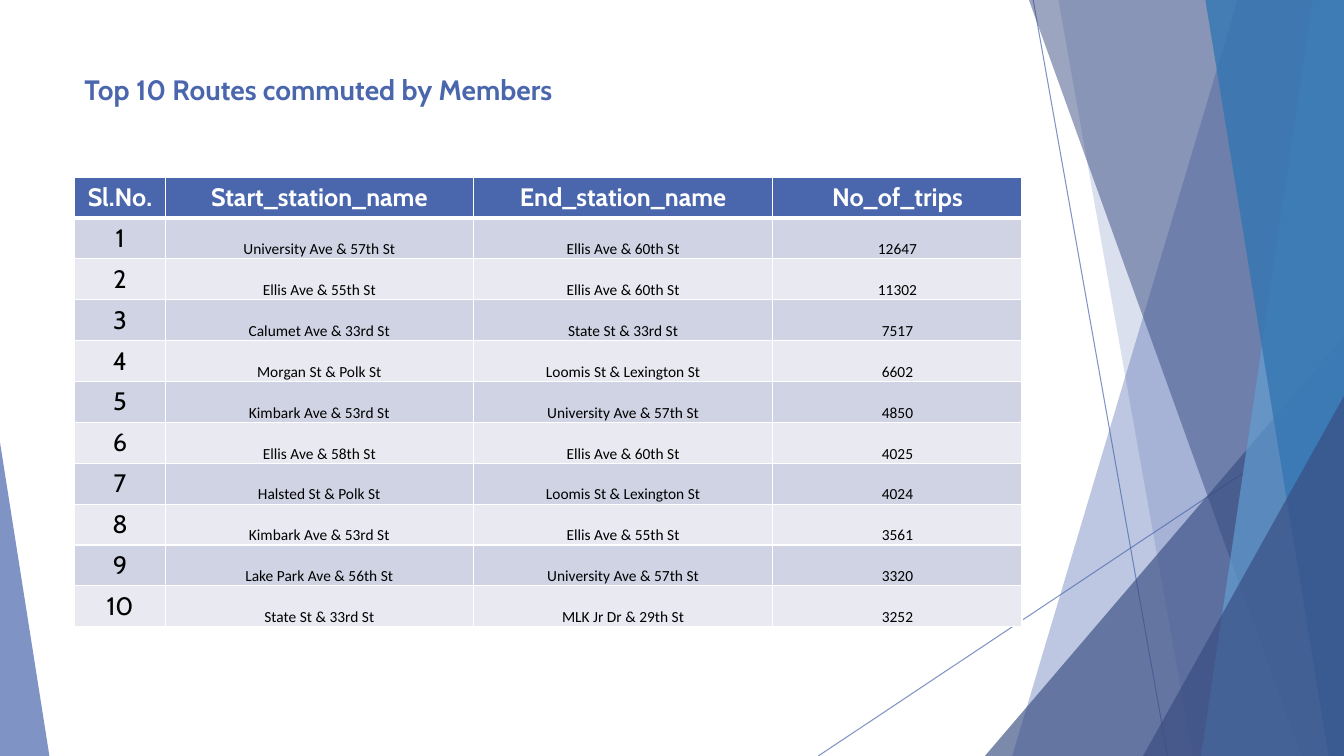
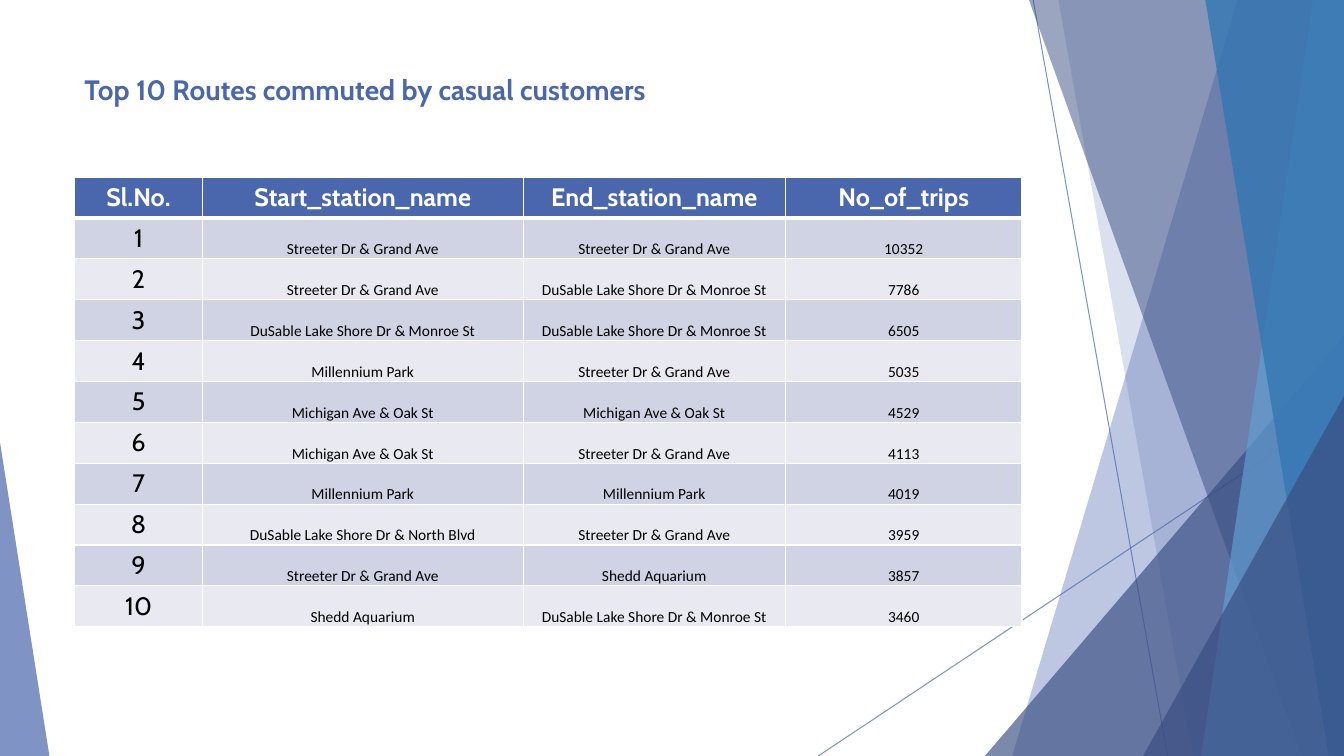
from lxml.etree import SubElement
from pptx import Presentation
from pptx.dml.color import RGBColor
from pptx.enum.shapes import MSO_CONNECTOR as Connector, MSO_SHAPE as Shape
from pptx.enum.text import MSO_ANCHOR as Anchor, PP_ALIGN as Align
from pptx.oxml.ns import qn
from pptx.util import Pt

WIDTH, HEIGHT = 960, 540
LEFT, CONTENT_WIDTH = 53.3, 676.8
TABLE_TOP, ROW_HEIGHT = 126.5, 29.2

BLUE = RGBColor(0x4A, 0x66, 0xAC)
NAVY = RGBColor(0x38, 0x4C, 0x81)
SKY = RGBColor(0x62, 0x9D, 0xD1)
OCEAN = RGBColor(0x34, 0x77, 0xB2)
DARK_ROW = RGBColor(0xD0, 0xD3, 0xE3)
LIGHT_ROW = RGBColor(0xE9, 0xEA, 0xF1)
WHITE = RGBColor(0xFF, 0xFF, 0xFF)
BLACK = RGBColor(0, 0, 0)

HEADERS = ("Sl.No.", "Start_station_name", "End_station_name", "No_of_trips")

MEMBER_ROUTES = [
    ("University Ave & 57th St", "Ellis Ave & 60th St", 12647),
    ("Ellis Ave & 55th St", "Ellis Ave & 60th St", 11302),
    ("Calumet Ave & 33rd St", "State St & 33rd St", 7517),
    ("Morgan St & Polk St", "Loomis St & Lexington St", 6602),
    ("Kimbark Ave & 53rd St", "University Ave & 57th St", 4850),
    ("Ellis Ave & 58th St", "Ellis Ave & 60th St", 4025),
    ("Halsted St & Polk St", "Loomis St & Lexington St", 4024),
    ("Kimbark Ave & 53rd St", "Ellis Ave & 55th St", 3561),
    ("Lake Park Ave & 56th St", "University Ave & 57th St", 3320),
    ("State St & 33rd St", "MLK Jr Dr & 29th St", 3252),
]

CASUAL_ROUTES = [
    ("Streeter Dr & Grand Ave", "Streeter Dr & Grand Ave", 10352),
    ("Streeter Dr & Grand Ave", "DuSable Lake Shore Dr & Monroe St", 7786),
    ("DuSable Lake Shore Dr & Monroe St", "DuSable Lake Shore Dr & Monroe St", 6505),
    ("Millennium Park", "Streeter Dr & Grand Ave", 5035),
    ("Michigan Ave & Oak St", "Michigan Ave & Oak St", 4529),
    ("Michigan Ave & Oak St", "Streeter Dr & Grand Ave", 4113),
    ("Millennium Park", "Millennium Park", 4019),
    ("DuSable Lake Shore Dr & North Blvd", "Streeter Dr & Grand Ave", 3959),
    ("Streeter Dr & Grand Ave", "Shedd Aquarium", 3857),
    ("Shedd Aquarium", "DuSable Lake Shore Dr & Monroe St", 3460),
]


def set_opacity(shape, percent):
    for color in shape.element.spPr.iter(qn("a:srgbClr")):
        SubElement(color, qn("a:alpha"), val=str(percent * 1000))


def set_borders(cell, top, bottom):
    """Give the cell white borders, 1 pt at the sides."""
    properties = cell._tc.get_or_add_tcPr()
    for side, width in (("L", 1), ("R", 1), ("T", top), ("B", bottom)):
        line = SubElement(properties, qn(f"a:ln{side}"), w=str(Pt(width)))
        fill = SubElement(line, qn("a:solidFill"))
        SubElement(fill, qn("a:srgbClr"), val=str(WHITE))


def format_text(para, font_name, size, color, bold=False):
    for span in para.runs:
        font = span.font
        font.name, font.size, font.bold = font_name, Pt(size), bold
        font.color.rgb = color


class RouteDeck:
    def __init__(self):
        self.deck = Presentation()
        self.deck.slide_width, self.deck.slide_height = Pt(WIDTH), Pt(HEIGHT)
        self.page = None

    def add_page(self, title, column_widths, routes):
        self.page = self.deck.slides.add_slide(self.deck.slide_layouts[6])
        self.backdrop()
        self.route_table(column_widths, routes)
        self.title(title)

    def backdrop(self):
        self.thin_line(738, 0, 834, HEIGHT)
        self.thin_line(WIDTH, 290, 584.5, HEIGHT)
        self.band(884, 723, BLUE, 36)
        self.band(756, 852, BLUE, 20)
        self.triangle(703.5, 240, WIDTH, 1, NAVY, 66)
        self.band(735, 929.5, NAVY, 50)
        self.band(938, 858, SKY, 70)
        self.band(861, 949, OCEAN, 80)
        self.triangle(816.5, 283, WIDTH, 1, NAVY, 66)
        self.triangle(0, 316, 35.3, 0, BLUE, 70)

    def thin_line(self, x1, y1, x2, y2):
        line = self.page.shapes.add_connector(
            Connector.STRAIGHT, Pt(x1), Pt(y1), Pt(x2), Pt(y2))
        line.line.color.rgb = BLUE
        line.line.width = Pt(0.75)
        set_opacity(line, 70)
        SubElement(line.element.spPr, qn("a:effectLst"))

    def paint(self, shape, color, opacity):
        shape.shadow.inherit = False
        shape.fill.solid()
        shape.fill.fore_color.rgb = color
        shape.line.fill.background()
        set_opacity(shape, opacity)

    def band(self, top_x, bottom_x, color, opacity):
        """Fill from a slanted left edge to the right edge of the page."""
        builder = self.page.shapes.build_freeform(Pt(top_x), 0)
        builder.add_line_segments([
            (Pt(WIDTH), 0), (Pt(WIDTH), Pt(HEIGHT)), (Pt(bottom_x), Pt(HEIGHT))])
        self.paint(builder.convert_to_shape(), color, opacity)

    def triangle(self, left, top, right, apex, color, opacity):
        """Stand a triangle on the bottom edge; apex is 0 for left, 1 for right."""
        shape = self.page.shapes.add_shape(
            Shape.ISOSCELES_TRIANGLE, Pt(left), Pt(top), Pt(right - left), Pt(HEIGHT - top))
        shape.adjustments[0] = apex
        self.paint(shape, color, opacity)

    def title(self, text):
        box = self.page.shapes.add_textbox(Pt(LEFT), Pt(48.2), Pt(CONTENT_WIDTH), Pt(36))
        box.text_frame.word_wrap = True
        box.text_frame.text = text
        format_text(box.text_frame.paragraphs[0], "Cabin", 20, BLUE, bold=True)

    def route_table(self, column_widths, routes):
        rows = [HEADERS] + [(rank, *route) for rank, route in enumerate(routes, 1)]
        table = self.page.shapes.add_table(
            len(rows), len(HEADERS), Pt(LEFT), Pt(TABLE_TOP),
            Pt(CONTENT_WIDTH), Pt(ROW_HEIGHT * len(rows))).table
        table.horz_banding = False
        for column, width in zip(table.columns, column_widths):
            column.width = Pt(width)
        for row_index, values in enumerate(rows):
            table.rows[row_index].height = Pt(ROW_HEIGHT)
            for column_index, value in enumerate(values):
                self.table_cell(table.cell(row_index, column_index),
                                str(value), row_index, column_index)

    def table_cell(self, cell, text, row_index, column_index):
        is_header = row_index == 0
        set_borders(cell, top=3 if row_index == 1 else 1, bottom=3 if is_header else 1)
        cell.fill.solid()
        cell.fill.fore_color.rgb = (
            BLUE if is_header else DARK_ROW if row_index % 2 else LIGHT_ROW)
        cell.text_frame.text = text
        para = cell.text_frame.paragraphs[0]
        para.alignment = Align.CENTER
        if is_header:
            format_text(para, "Cabin", 18, WHITE, bold=True)
        elif column_index == 0:
            format_text(para, "Cabin", 18, BLACK)
        else:
            format_text(para, "Calibri", 11, BLACK)
            cell.vertical_anchor = Anchor.BOTTOM
            cell.margin_left = cell.margin_right = cell.margin_top = Pt(0.7)
            cell.margin_bottom = 0


def main():
    routes = RouteDeck()
    routes.add_page("Top 10 Routes commuted by Members",
                    (64.8, 220, 214, 178), MEMBER_ROUTES)
    routes.add_page("Top 10 Routes commuted by casual customers",
                    (91.4, 229, 187.4, 169), CASUAL_ROUTES)
    routes.deck.save("out.pptx")


if __name__ == "__main__":
    main()
